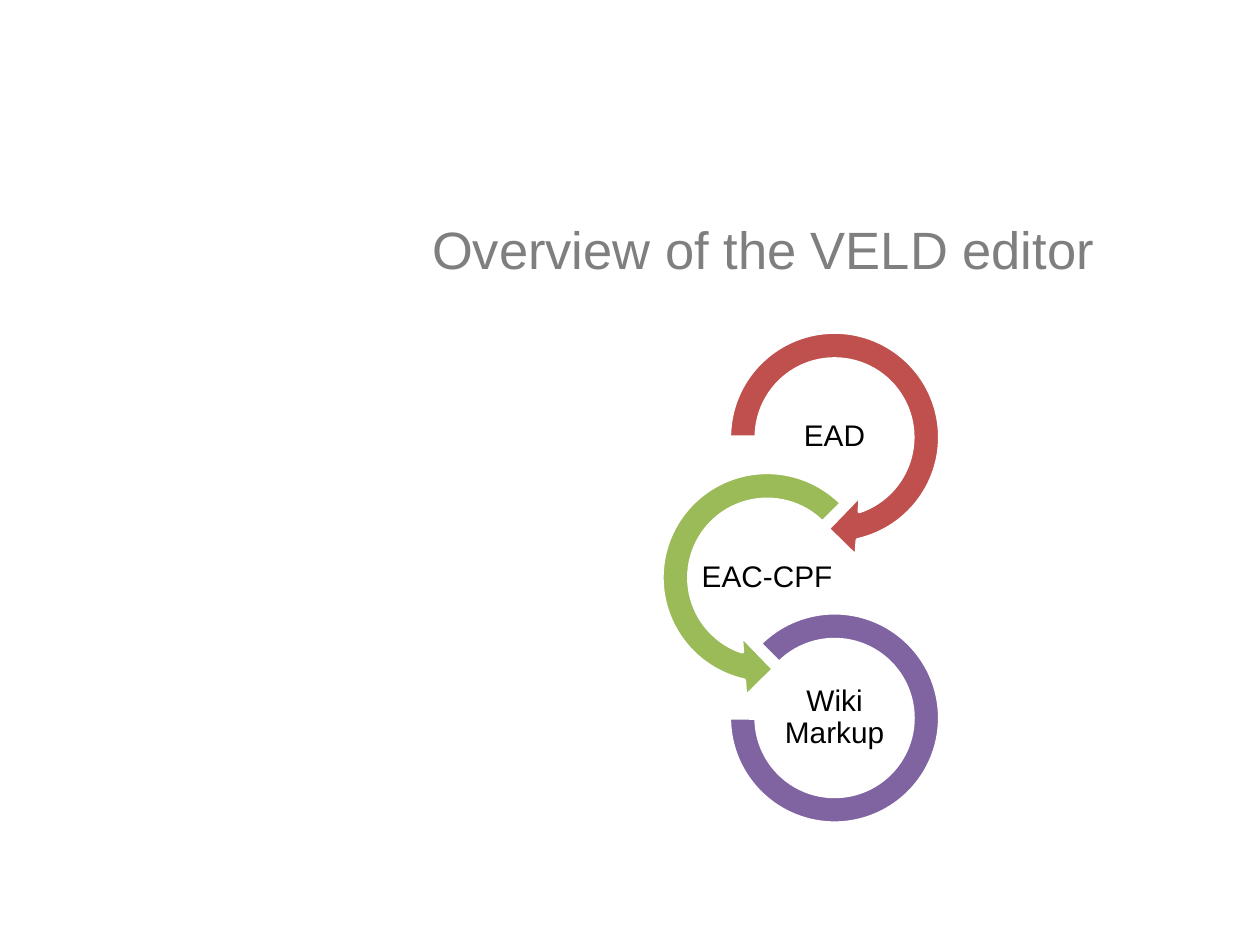
from pptx import Presentation
from pptx.dml.color import RGBColor
from pptx.enum.shapes import MSO_SHAPE
from pptx.enum.text import MSO_ANCHOR, MSO_AUTO_SIZE, PP_ALIGN
from pptx.util import Cm, Pt

RIGHT = MSO_SHAPE.CIRCULAR_ARROW
LEFT = MSO_SHAPE.LEFT_CIRCULAR_ARROW
ARC = MSO_SHAPE.BLOCK_ARC
MID = MSO_ANCHOR.MIDDLE
FIXED = MSO_AUTO_SIZE.NONE
START = PP_ALIGN.LEFT
CENTRE = PP_ALIGN.CENTER

HUES = {
    "title": "7F7F7F",
    "text": "000000",
    "edge": "FFFFFF",
    "ead": "C0504D",
    "eac": "9BBB59",
    "wiki": "8064A2",
}

STEPS = [
    ("EAD", RIGHT, 4.93, 1.36, "ead", (0.11, 11.42, 45, 108, 0.125)),
    ("EAC-CPF", LEFT, 4.93, 0, "eac", (0.11, 11.42, 63, 189, 0.125)),
    ("Wiki Markup", ARC, 4.24, 1.36, "wiki", (135, 108, 0.127)),
]


def hue(name):
    return RGBColor.from_string(HUES[name])


def write(shape, text, size, color, align, pad, lead=1.0):
    frame = shape.text_frame
    frame.word_wrap = True
    frame.auto_size = FIXED
    frame.vertical_anchor = MID
    frame.margin_left = frame.margin_right = Cm(pad[0])
    frame.margin_top = frame.margin_bottom = Cm(pad[1])
    para = frame.paragraphs[0]
    para.alignment = align
    para.line_spacing = lead
    run = para.add_run()
    run.text = text
    run.font.name = "Arial"
    run.font.size = Pt(size)
    run.font.color.rgb = hue(color)


def centre(x, y, wide, high):
    return Cm(x - wide / 2), Cm(y - high / 2), Cm(wide), Cm(high)


def head(slide, left, top, wide, high):
    title = slide.shapes.title
    title.left, title.top = Cm(left), Cm(top)
    title.width, title.height = Cm(wide), Cm(high)
    write(title, "Overview of the VELD editor", size=30, color="title",
          align=START, pad=(0.25, 0.13))


def chain(slide, left, top, size, gap):
    group = slide.shapes.add_group_shape()
    for row, (text, kind, side, shift, color, turns) in enumerate(STEPS):
        x = left + size / 2 + shift
        y = top + size / 2 + row * gap
        ring = group.shapes.add_shape(kind, *centre(x, y, side, side))
        for spot, turn in enumerate(turns):
            ring.adjustments[spot] = turn
        ring.shadow.inherit = False
        ring.fill.solid()
        ring.fill.fore_color.rgb = hue(color)
        ring.line.color.rgb = hue("edge")
        ring.line.width = Pt(2)
        label = group.shapes.add_textbox(*centre(x, y, 2.74, 1.37))
        write(label, text, size=17, color="text", align=CENTRE,
              pad=(0.03, 0.03), lead=0.9)


def main():
    deck = Presentation()
    deck.slide_width, deck.slide_height = Cm(25.4), Cm(19.05)
    slide = deck.slides.add_slide(deck.slide_layouts[5])
    slide.background.fill.solid()
    slide.background.fill.fore_color.rgb = hue("edge")
    head(slide, 8.46, 2.54, 16.94, 4.93)
    chain(slide, 13, 6.35, 4.93, 2.83)
    deck.save("out.pptx")


if __name__ == "__main__":
    main()
